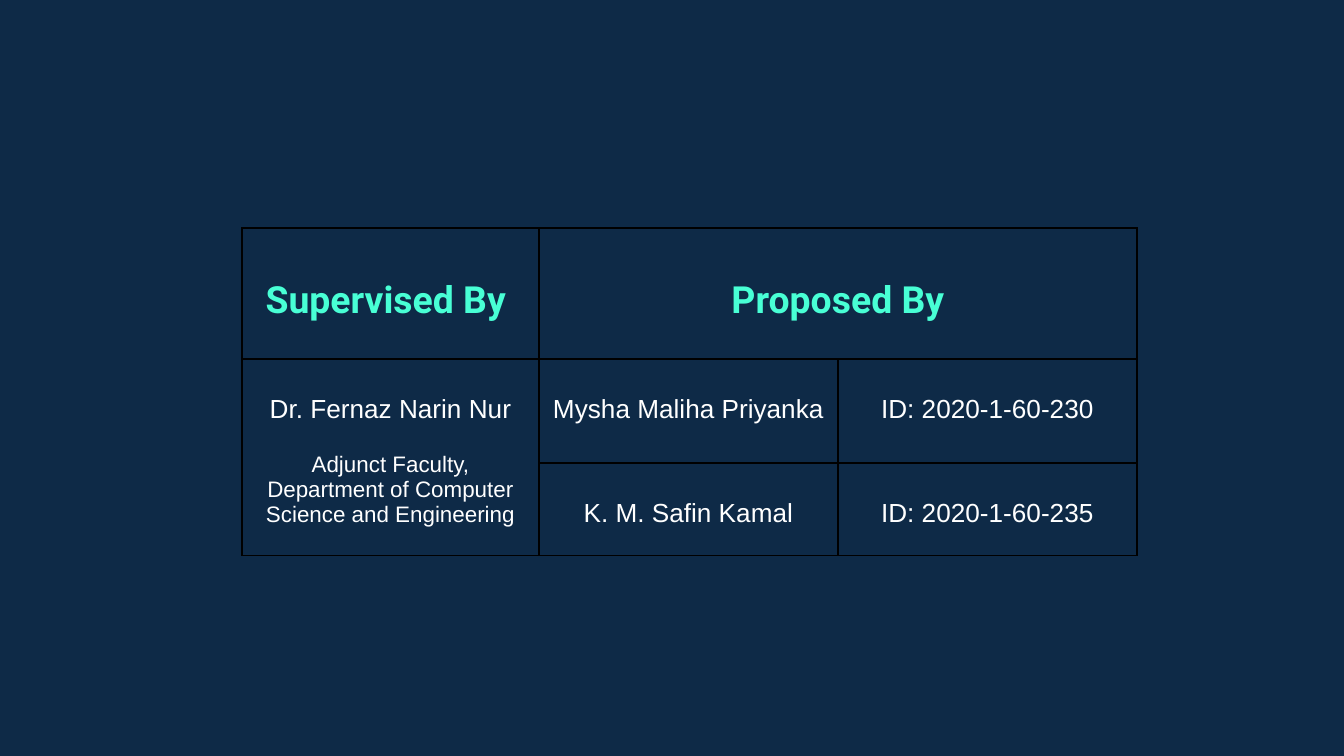
"""Build a slide with a table of the project's supervisor and proposers."""
from lxml import etree
from pptx import Presentation
from pptx.dml.color import RGBColor
from pptx.enum.text import MSO_ANCHOR, PP_ALIGN
from pptx.oxml.ns import qn
from pptx.util import Pt

CENTER = PP_ALIGN.CENTER
TOP = MSO_ANCHOR.TOP
EMU_PER_PX = 914400 / 134.4
BLANK_LAYOUT = 6
NAVY, MINT, WHITE, BLACK = "0E2A47", "48FFD5", "FFFFFF", "000000"
HEADING = ("Roboto", 20, MINT, True)
BODY = ("Arial", 14, WHITE, False)
SMALL = ("Arial", 12, WHITE, False)
COLUMN_WIDTHS = (297, 299, 299)
ROW_HEIGHTS = (131, 104, 93)
HEADING_INSET, BODY_INSET, SIDE_INSET = 51, 36, 12
AFFILIATION_GAP = 15
BORDER_POINTS = 0.75


def px(length):
    return round(length * EMU_PER_PX)


def color(value):
    return RGBColor.from_string(value)


class SlideBuilder:
    def __init__(self, slide, border_color):
        self.slide = slide
        self.border_color = border_color

    def background(self, value):
        fill = self.slide.background.fill
        fill.solid()
        fill.fore_color.rgb = color(value)

    def table(self, left, top, widths, heights):
        frame = self.slide.shapes.add_table(
            len(heights), len(widths), px(left), px(top),
            px(sum(widths)), px(sum(heights)))
        table = frame.table
        table.first_row = False
        table.horz_banding = False
        for column, width in zip(table.columns, widths):
            column.width = px(width)
        for row, height in zip(table.rows, heights):
            row.height = px(height)
        for cell in table.iter_cells():
            self.borders(cell)
            cell.fill.background()
        return table

    def borders(self, cell):
        properties = cell._tc.get_or_add_tcPr()
        for side in ("a:lnL", "a:lnR", "a:lnT", "a:lnB"):
            line = etree.SubElement(properties, qn(side), w=str(Pt(BORDER_POINTS)))
            fill = etree.SubElement(line, qn("a:solidFill"))
            etree.SubElement(fill, qn("a:srgbClr"), val=self.border_color)

    def cell_text(self, cell, inset, lines):
        cell.margin_left = cell.margin_right = px(SIDE_INSET)
        cell.margin_top, cell.margin_bottom = px(inset), 0
        cell.vertical_anchor = TOP
        frame = cell.text_frame
        for index, (text, style, gap) in enumerate(lines):
            paragraph = frame.add_paragraph() if index else frame.paragraphs[0]
            paragraph.alignment = CENTER
            paragraph.space_before = Pt(gap)
            run = paragraph.add_run()
            run.text = text
            font = run.font
            font.name, size, value, font.bold = style
            font.size = Pt(size)
            font.color.rgb = color(value)


def main():
    presentation = Presentation()
    presentation.slide_width, presentation.slide_height = px(1344), px(756)
    slide = presentation.slides.add_slide(presentation.slide_layouts[BLANK_LAYOUT])
    builder = SlideBuilder(slide, BLACK)
    builder.background(NAVY)

    team = builder.table(242, 228, COLUMN_WIDTHS, ROW_HEIGHTS)
    team.cell(0, 1).merge(team.cell(0, 2))
    team.cell(1, 0).merge(team.cell(2, 0))

    for column, heading in enumerate(("Supervised By ", "Proposed By")):
        builder.cell_text(team.cell(0, column), HEADING_INSET, [(heading, HEADING, 0)])
    builder.cell_text(team.cell(1, 0), BODY_INSET, [
        ("Dr. Fernaz Narin Nur", BODY, 0),
        ("Adjunct Faculty, Department of Computer Science and Engineering",
         SMALL, AFFILIATION_GAP),
    ])
    proposers = (
        ("Mysha Maliha Priyanka", "ID: 2020-1-60-230"),
        ("K. M. Safin Kamal", "ID: 2020-1-60-235"),
    )
    for row, proposer in enumerate(proposers, start=1):
        for column, text in enumerate(proposer, start=1):
            builder.cell_text(team.cell(row, column), BODY_INSET, [(text, BODY, 0)])

    presentation.save("out.pptx")


if __name__ == "__main__":
    main()
